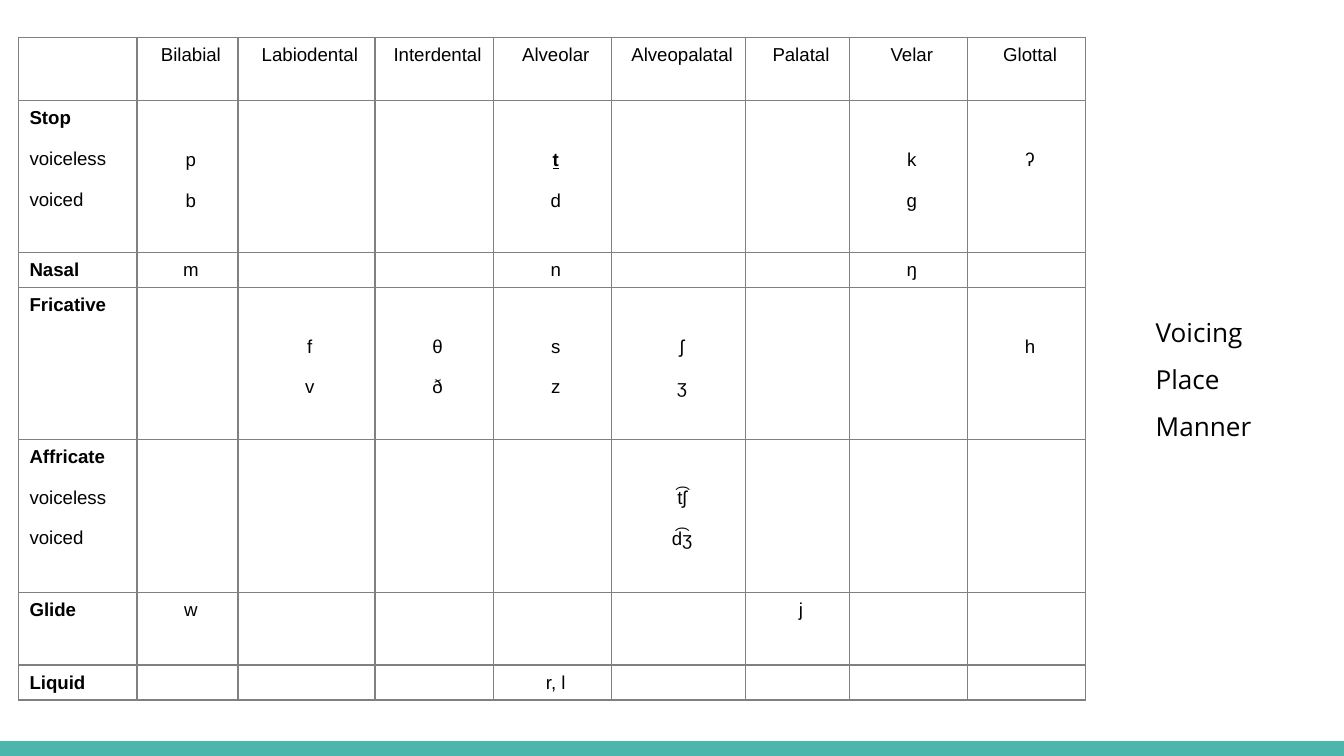
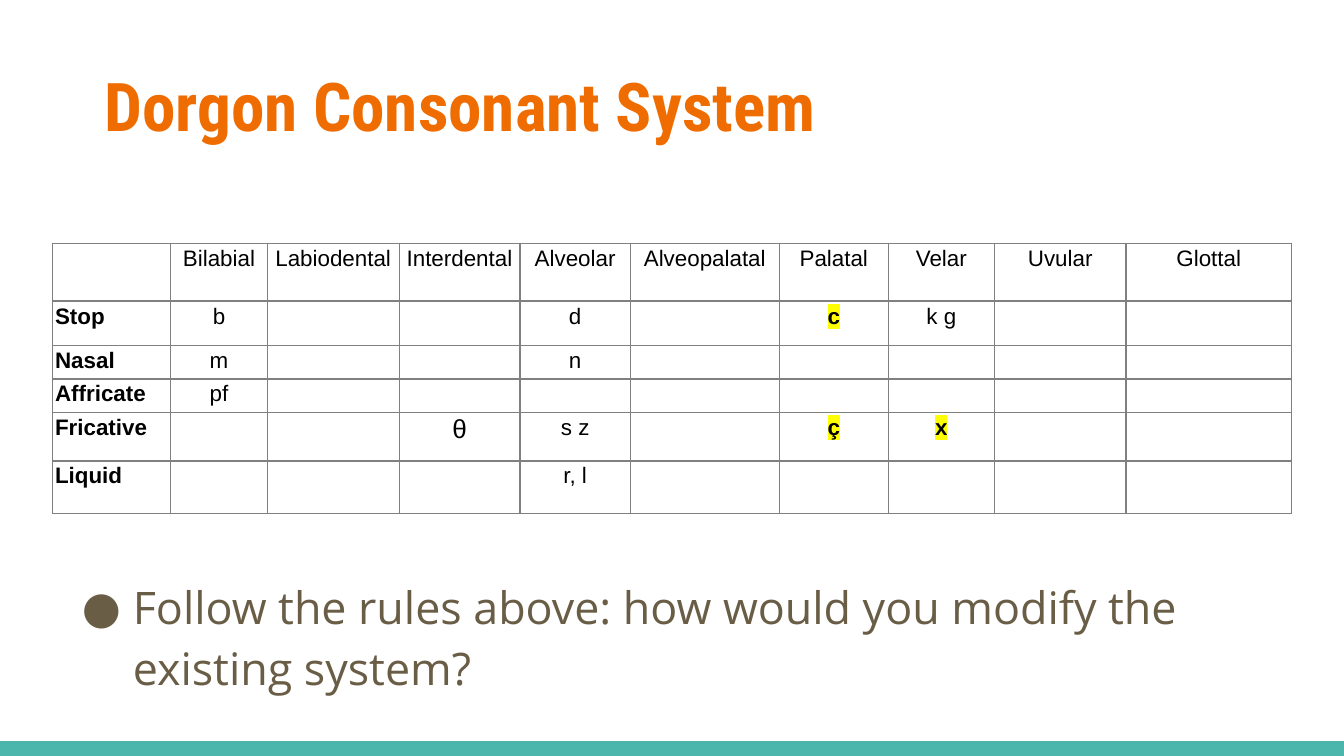
from lxml.etree import SubElement
from pptx import Presentation
from pptx.dml.color import RGBColor
from pptx.enum.shapes import MSO_SHAPE
from pptx.enum.text import MSO_ANCHOR, PP_ALIGN
from pptx.oxml.ns import qn
from pptx.util import Inches, Pt

WIDE = 10
HIGH = WIDE * 9 / 16
BAND = 0.11
TEAL, ORANGE, BROWN = "4DB6AC", "EF6C00", "695D46"
BLACK, WHITE, GREY, YELLOW = "000000", "FFFFFF", "808080", "FFFF00"
SANS, OPEN, TITLE = "Arial", "Open Sans", "Roboto Condensed"

ENGLISH = """
|Bilabial|Labiodental|Interdental|Alveolar|Alveopalatal|Palatal|Velar|Glottal
Stop/voiceless/voiced|/p/b|||/_t/d|||/k/g|/ʔ
Nasal|m|||n|||ŋ|
Fricative||/f/v|/θ/ð|/s/z|/ʃ/ʒ|||/h
Affricate/voiceless/voiced|||||/t͡ʃ/d͡ʒ|||
Glide|w|||||j||
Liquid||||r, l||||
"""
DORGON = """
|Bilabial|Labiodental|Interdental|Alveolar|Alveopalatal|Palatal|Velar|Uvular|Glottal
Stop|b|||d||*c|k g||
Nasal|m|||n|||||
Affricate|pf||||||||
Fricative|||+θ|s z||*ç|*x||
Liquid||||r, l|||||
"""


def color(code):
    return RGBColor.from_string(code)


def place(box):
    return [Inches(side) for side in box]


def add_run(par, text, size, face=SANS, tint=BLACK, bold=False):
    run = par.add_run()
    run.text = text
    font = run.font
    font.size, font.name, font.bold = Pt(size), face, bold
    font.color.rgb = color(tint)
    return run


def light(run):
    mark = SubElement(run._r.rPr, qn("a:highlight"))
    SubElement(mark, qn("a:srgbClr"), val=YELLOW)
    run._r.rPr.find(qn("a:solidFill")).addnext(mark)


def border(cell):
    props = cell._tc.get_or_add_tcPr()
    for spot, side in enumerate(("lnL", "lnR", "lnT", "lnB")):
        line = SubElement(props, qn("a:" + side), w=str(Pt(0.75)))
        fill = SubElement(line, qn("a:solidFill"))
        SubElement(fill, qn("a:srgbClr"), val=GREY)
        props.insert(spot, line)


def add_sound(par, text, size, bold):
    mark = text[0] if text[0] in "_*+" else ""
    run = add_run(par, text[len(mark):], size + 2 * (mark == "+"),
                  bold=bold or mark in ("_", "*"))
    if mark == "_":
        run.font.underline = True
    if mark == "*":
        light(run)


def fill_cell(cell, text, head, size, inset, indent, space, gap):
    cell.fill.solid()
    cell.fill.fore_color.rgb = color(WHITE)
    border(cell)
    drop = (size * 1.15 * space + gap) / 72 if text.startswith("/") else 0
    cell.margin_left = cell.margin_right = cell.margin_bottom = Inches(inset)
    cell.margin_top = Inches(round(inset + drop, 2))
    frame = cell.text_frame
    for order, part in enumerate(text.strip("/").split("/")):
        par = frame.add_paragraph() if order else frame.paragraphs[0]
        par.alignment = PP_ALIGN.LEFT if head else PP_ALIGN.CENTER
        par.line_spacing = space
        par._p.get_or_add_pPr().set("marL", str(Inches(indent)))
        if order:
            par.space_before = Pt(gap)
        if part:
            add_sound(par, part, size, head and not order)
        else:
            SubElement(par._p, qn("a:endParaRPr"), sz=str(size * 100))


def add_grid(slide, box, text, wides, highs, size, inset,
             indent=0, space=1.0, gap=0):
    rows = [line.split("|") for line in text.strip().split("\n")]
    table = slide.shapes.add_table(len(rows), len(wides), *place(box)).table
    table.first_row = table.horz_banding = False
    for col, wide in zip(table.columns, wides):
        col.width = Inches(wide)
    for row, high, parts in zip(table.rows, highs, rows):
        row.height = Inches(high)
        for spot, part in enumerate(parts):
            fill_cell(row.cells[spot], part, spot == 0, size, inset,
                      indent, space, gap)


def add_text(slide, box, lines, size, face, tint, bold=False, space=1.0,
             inset=0.1, anchor=MSO_ANCHOR.TOP, bullet=None):
    frame = slide.shapes.add_textbox(*place(box)).text_frame
    frame.word_wrap = True
    frame.vertical_anchor = anchor
    frame.margin_left = frame.margin_right = Inches(0.1)
    frame.margin_top = frame.margin_bottom = Inches(inset)
    for order, line in enumerate(lines):
        par = frame.add_paragraph() if order else frame.paragraphs[0]
        par.line_spacing = space
        if bullet:
            props = par._p.get_or_add_pPr()
            props.set("marL", str(Inches(0.5)))
            props.set("indent", str(Inches(-0.38)))
            SubElement(SubElement(props, qn("a:buClr")),
                       qn("a:srgbClr"), val=tint)
            SubElement(props, qn("a:buFont"), typeface=face)
            SubElement(props, qn("a:buChar"), char=bullet)
        add_run(par, line, size, face, tint, bold)


def add_base(deck):
    slide = deck.slides.add_slide(deck.slide_layouts[6])
    slide.background.fill.solid()
    slide.background.fill.fore_color.rgb = color(WHITE)
    band = slide.shapes.add_shape(
        MSO_SHAPE.RECTANGLE, *place((0, HIGH - BAND, WIDE, BAND)))
    band.shadow.inherit = False
    band.fill.solid()
    band.fill.fore_color.rgb = color(TEAL)
    band.line.fill.background()
    return slide


def add_english(deck):
    slide = add_base(deck)
    add_grid(slide, (0.14, 0.28, 7.95, 4.94), ENGLISH,
             (0.88, 0.75, 1.02, 0.88, 0.88, 1, 0.77, 0.88, 0.88),
             (0.47, 1.13, 0.26, 1.13, 1.14, 0.54, 0.26),
             10, 0.03, 0.05, 1.15, 9)
    add_text(slide, (8.5, 2.14, 1.11, 0.61), ("Voicing", "Place", "Manner"),
             14, OPEN, BLACK, space=1.5)


def add_dorgon(deck):
    slide = add_base(deck)
    add_text(slide, (0.68, 0.42, 8.65, 0.71), ("Dorgon Consonant System",),
             36, TITLE, ORANGE, bold=True, inset=0.05,
             anchor=MSO_ANCHOR.MIDDLE)
    add_grid(slide, (0.39, 1.81, 9.22, 2.01), DORGON,
             (0.88, 0.72, 0.98, 0.9, 0.82, 1.11, 0.81, 0.79, 0.98, 1.23),
             (0.43, 0.33, 0.25, 0.25, 0.36, 0.39), 12, 0.02)
    add_text(slide, (0.39, 4.15, 9.22, 0.62),
             ("Follow the rules above: how would you modify the "
              "existing system?",),
             24, OPEN, BROWN, space=1.15, bullet="●")


def main():
    deck = Presentation()
    deck.slide_width, deck.slide_height = Inches(WIDE), Inches(HIGH)
    add_english(deck)
    add_dorgon(deck)
    deck.save("out.pptx")


if __name__ == "__main__":
    main()
